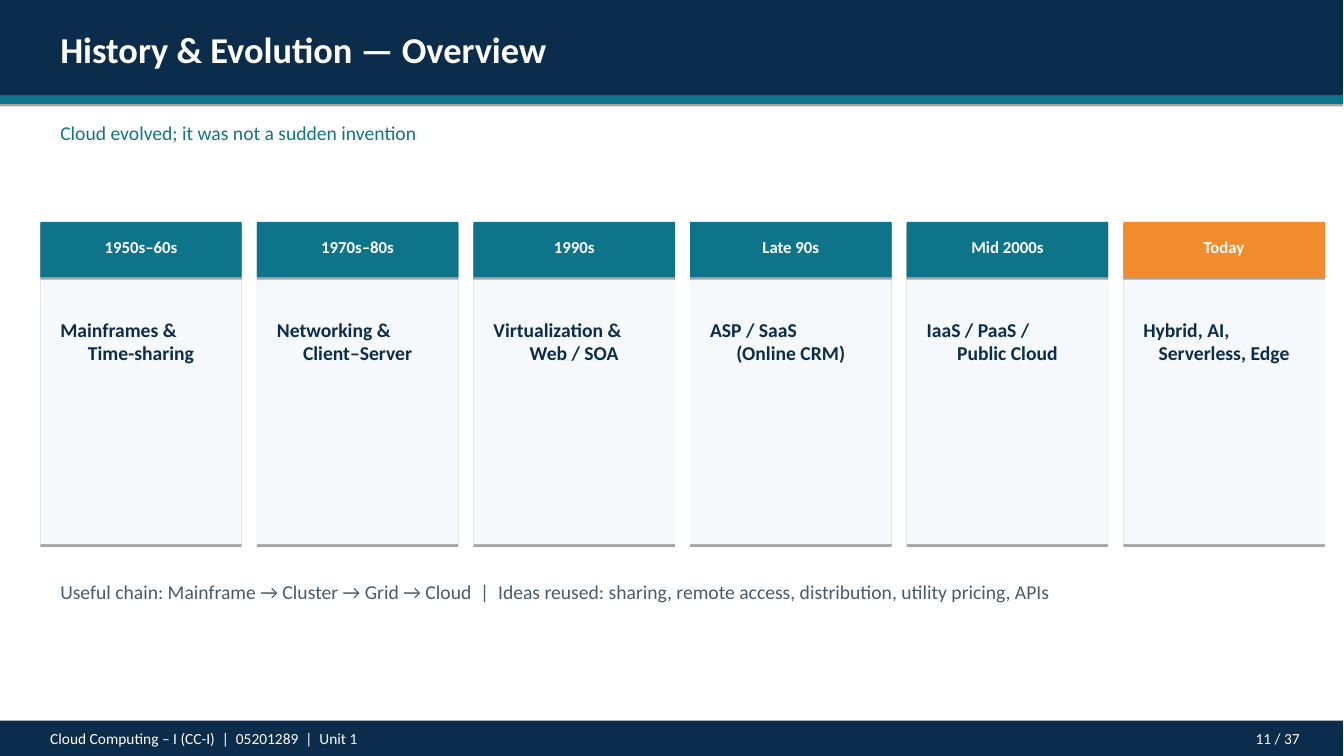
from lxml.etree import SubElement as Sub
from pptx import Presentation
from pptx.dml.color import RGBColor as RGB
from pptx.enum.shapes import MSO_SHAPE as Kind
from pptx.enum.text import MSO_AUTO_SIZE as Fit, PP_ALIGN as Align
from pptx.oxml.ns import qn
from pptx.util import Pt

EMU = 9144
WHITE = RGB(0xFF, 0xFF, 0xFF)
NAVY = RGB(0x0B, 0x2C, 0x4A)
TEAL = RGB(0x0E, 0x74, 0x8A)
ORANGE = RGB(0xF0, 0x8C, 0x2E)
PALE = RGB(0xF5, 0xF9, 0xFB)
GREY = RGB(0x4A, 0x5A, 0x66)

ERAS = [
    ("1950s–60s", "Mainframes &", "Time-sharing"),
    ("1970s–80s", "Networking &", "Client–Server"),
    ("1990s", "Virtualization &", "Web / SOA"),
    ("Late 90s", "ASP / SaaS", "(Online CRM)"),
    ("Mid 2000s", "IaaS / PaaS /", "Public Cloud"),
    ("Today", "Hybrid, AI,", "Serverless, Edge"),
]


class Deck:
    font = "Calibri"

    def __init__(self, wide, high):
        self.prs = Presentation()
        self.prs.slide_width = wide * EMU
        self.prs.slide_height = high * EMU
        self.slide = self.prs.slides.add_slide(self.prs.slide_layouts[6])

    def rect(self, x, y, w, h, fill):
        box = self.slide.shapes.add_shape(
            Kind.RECTANGLE, x * EMU, y * EMU, w * EMU, h * EMU)
        box.fill.solid()
        box.fill.fore_color.rgb = fill
        box.line.fill.background()
        box.shadow.inherit = False
        list_ = box._element.spPr.find(qn("a:effectLst"))
        cast = Sub(list_, qn("a:outerShdw"), blurRad="0", dist=str(Pt(1.8)),
                   dir="5400000", rotWithShape="0")
        tone = Sub(cast, qn("a:srgbClr"), val="000000")
        Sub(tone, qn("a:alpha"), val="35000")

    def text(self, x, y, w, h, lines, size, color, bold=False,
             sides=(Align.LEFT,)):
        box = self.slide.shapes.add_textbox(
            x * EMU, y * EMU, w * EMU, h * EMU)
        frame = box.text_frame
        frame.word_wrap = True
        frame.auto_size = Fit.SHAPE_TO_FIT_TEXT
        frame.text = "\n".join(lines)
        for para, side in zip(frame.paragraphs, sides):
            para.alignment = side
            para.font.name = self.font
            para.font.size = Pt(size)
            para.font.bold = bold
            para.font.color.rgb = color

    def era(self, x, date, lines, fill):
        self.rect(x, 220, 200, 320, PALE)
        self.rect(x, 220, 200, 55, fill)
        self.text(x, 230, 200, 30, [date], 12, WHITE, True, [Align.CENTER])
        self.text(x + 10, 310, 180, 57, lines, 14, NAVY, True,
                  [Align.LEFT, Align.CENTER])


def main():
    deck = Deck(1334, 750)
    deck.rect(0, 0, 1333, 750, WHITE)
    deck.rect(0, 0, 1333, 95, NAVY)
    deck.rect(0, 95, 1333, 8, TEAL)
    deck.text(50, 22, 1150, 53, ["History & Evolution — Overview"],
              26, WHITE, True)
    deck.text(50, 115, 1200, 33,
              ["Cloud evolved; it was not a sudden invention"], 14, TEAL)
    deck.rect(0, 715, 1333, 35, NAVY)
    deck.text(40, 718, 900, 28,
              ["Cloud Computing – I (CC-I)  |  05201289  |  Unit 1"], 11, WHITE)
    deck.text(1120, 718, 180, 28, ["11 / 37"], 11, WHITE, sides=[Align.RIGHT])
    for i, (date, *lines) in enumerate(ERAS):
        fill = ORANGE if date == "Today" else TEAL
        deck.era(40 + 215 * i, date, lines, fill)
    deck.text(50, 570, 1230, 33,
              ["Useful chain: Mainframe → Cluster → Grid → Cloud  |  "
               "Ideas reused: sharing, remote access, distribution, "
               "utility pricing, APIs"], 14, GREY)
    deck.prs.save("out.pptx")


if __name__ == "__main__":
    main()
